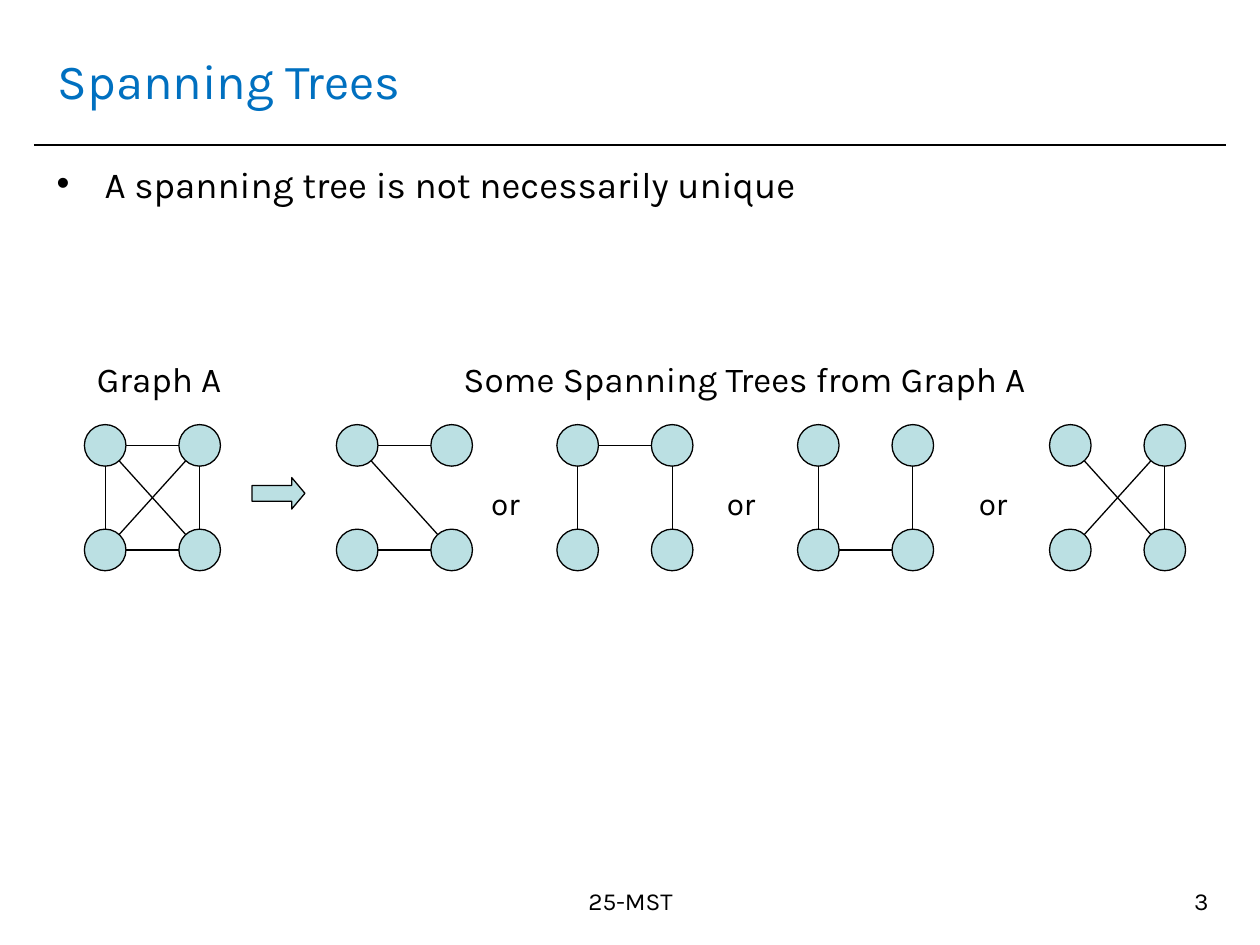
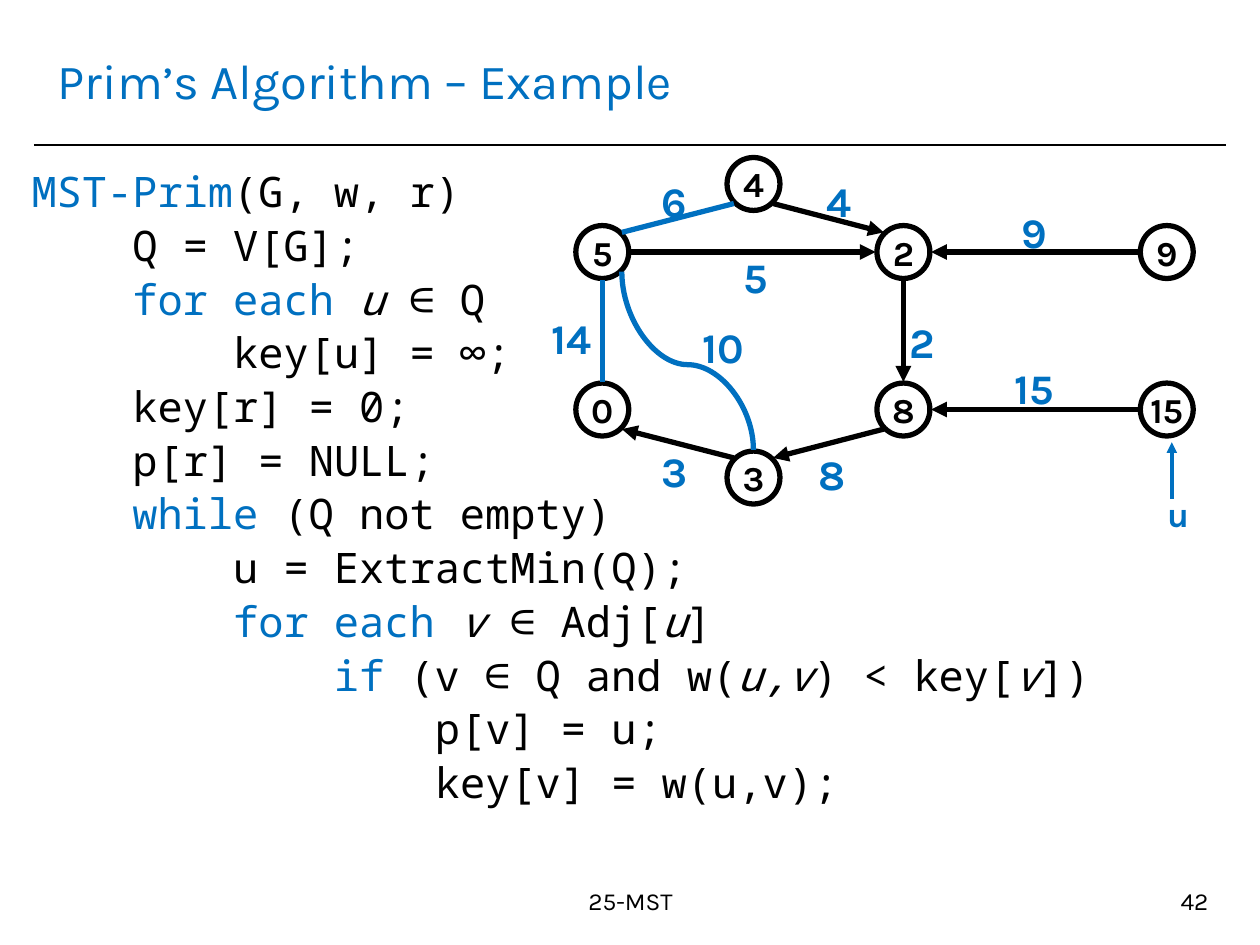
import math

import pptx
import pptx.dml.color
import pptx.enum.shapes
import pptx.enum.text
import pptx.oxml
import pptx.oxml.ns
import pptx.util
from lxml import etree

Inches = pptx.util.Inches
Pt = pptx.util.Pt
SHAPE = pptx.enum.shapes.MSO_SHAPE
CONNECTOR = pptx.enum.shapes.MSO_CONNECTOR
ALIGN = pptx.enum.text.PP_ALIGN
ANCHOR = pptx.enum.text.MSO_ANCHOR
AUTO_SIZE = pptx.enum.text.MSO_AUTO_SIZE
qn = pptx.oxml.ns.qn

BLACK, BLUE, PALE = "000000", "0070C0", "BBE0E3"
FONT, CODE_FONT = "Karla", "Noto Sans Mono"

KEYWORD = {"colour": BLUE}
ITALIC = {"italic": True}
CODE = [
    [("MST-Prim", KEYWORD), "(G, w, r)"],
    ["    Q = V[G];"],
    ["    ", ("for each ", KEYWORD), ("u ", ITALIC), "∈ Q"],
    ["        key[u] = ∞;"],
    ["    key[r] = 0;"],
    ["    p[r] = NULL;"],
    ["    ", ("while", KEYWORD), " (Q not empty)"],
    ["        u = ExtractMin(Q);"],
    ["        ", ("for each ", KEYWORD), ("v ", ITALIC), "∈ Adj[", ("u", ITALIC), "]"],
    ["            ", ("if", KEYWORD), " (v ∈ Q and w(", ("u,v", ITALIC),
     ") < key[", ("v", ITALIC), "])"],
    ["                p[v] = u;"],
    ["                key[v] = w(u,v);"],
]

# Small graphs: corners are numbered top left, top right, bottom left, bottom right.
GRAPH_TOP, GRAPH_NODE = 3.37, 0.33
CORNERS = [(0, 0), (0.75, 0), (0, 0.83), (0.75, 0.83)]
TOP, LEFT, RIGHT, BOTTOM, DOWN, UP = (0, 1), (0, 2), (1, 3), (2, 3), (0, 3), (1, 2)
GRAPH_A = (0.67, [TOP, LEFT, RIGHT, BOTTOM, DOWN, UP])
SPANNING_TREES = [
    (2.67, [TOP, DOWN, BOTTOM]),
    (4.42, [LEFT, TOP, RIGHT]),
    (6.33, [LEFT, BOTTOM, RIGHT]),
    (8.33, [DOWN, UP, RIGHT]),
]

# Prim graph: key of each vertex and its centre.
PRIM_NODE = 0.42
VERTICES = {
    "5": (4.78, 2), "2": (7.17, 2), "9": (9.26, 2),
    "0": (4.78, 3.25), "8": (7.17, 3.25), "15": (9.26, 3.25),
    "3": (5.98, 3.79), "4": (5.98, 1.46),
}
# Start, its side, end, its side, directed.
EDGES = [
    ("4", "SE", "2", "NW", True), ("4", "SW", "5", "NE", False),
    ("5", "E", "2", "W", True), ("0", "N", "5", "S", False),
    ("3", "NW", "0", "SE", True), ("8", "SW", "3", "NE", True),
    ("2", "S", "8", "N", True), ("9", "W", "2", "E", True),
    ("15", "W", "8", "E", True),
]
# Edge weight and the centre and top of its label.
WEIGHTS = [
    ("14", 4.54, 2.43), ("10", 5.74, 2.5), ("3", 5.35, 3.49), ("6", 5.35, 1.34),
    ("4", 6.66, 1.34), ("5", 6, 1.95), ("2", 7.32, 2.46), ("9", 8.21, 1.59),
    ("15", 8.21, 2.83), ("8", 6.6, 3.51),
]
SIDES = ["E", "SE", "S", "SW", "W", "NW", "N", "NE"]


def rgb(value):
    return pptx.dml.color.RGBColor.from_string(value)


def add_runs(paragraph, runs, size, font=FONT, colour=BLACK, bold=False):
    """Add plain strings, or (text, style) pairs, as runs."""
    for item in runs:
        text, style = (item, {}) if isinstance(item, str) else item
        run = paragraph.add_run()
        run.text = text
        run.font.name = font
        run.font.size = Pt(size)
        run.font.bold = bold
        run.font.italic = style.get("italic", False)
        run.font.color.rgb = rgb(style.get("colour", colour))


def add_label(shapes, text, left, top, width, height, size,
              align=ALIGN.LEFT, wrap=True, **style):
    box = shapes.add_textbox(Inches(left), Inches(top), Inches(width), Inches(height))
    box.text_frame.word_wrap = wrap
    paragraph = box.text_frame.paragraphs[0]
    paragraph.alignment = align
    add_runs(paragraph, [text], size, **style)


def add_outlined(shapes, kind, left, top, width, height, line_width, fill=None):
    shape = shapes.add_shape(kind, Inches(left), Inches(top), Inches(width), Inches(height))
    shape.shadow.inherit = False
    if fill:
        shape.fill.solid()
        shape.fill.fore_color.rgb = rgb(fill)
    else:
        shape.fill.background()
    shape.line.color.rgb = rgb(BLACK)
    shape.line.width = Pt(line_width)
    return shape


def add_line(shapes, start, end, width, colour=BLACK, arrow=False,
             kind=CONNECTOR.STRAIGHT):
    points = [Inches(value) for value in (*start, *end)]
    connector = shapes.add_connector(kind, *points)
    connector.line.color.rgb = rgb(colour)
    connector.line.width = Pt(width)
    properties = connector.element.spPr
    if arrow:
        etree.SubElement(properties.find(qn("a:ln")), qn("a:tailEnd"), type="triangle")
    etree.SubElement(properties, qn("a:effectLst"))
    return connector


def set_indent(paragraph, bullet=None):
    """Give a hanging indent, with a bullet character or none."""
    properties = paragraph._p.get_or_add_pPr()
    properties.set("marL", str(Inches(0.38)))
    properties.set("indent", str(-Inches(0.38)))
    if bullet:
        etree.SubElement(properties, qn("a:buChar"), char=bullet)
    else:
        etree.SubElement(properties, qn("a:buNone"))


def place(placeholder, left, top, width, height, anchor):
    placeholder.left, placeholder.top = Inches(left), Inches(top)
    placeholder.width, placeholder.height = Inches(width), Inches(height)
    frame = placeholder.text_frame
    frame.auto_size = AUTO_SIZE.NONE
    frame.vertical_anchor = anchor
    return frame


def add_slide(presentation, title, number):
    """Add a slide with its title, rule and footer."""
    slide = presentation.slides.add_slide(presentation.slide_layouts[1])
    add_line(slide.shapes, (0.27, 1.15), (9.73, 1.15), 1)
    frame = place(slide.shapes.title, 0.36, 0.21, 9.29, 0.85, ANCHOR.MIDDLE)
    paragraph = frame.paragraphs[0]
    paragraph.alignment = ALIGN.LEFT
    add_runs(paragraph, [title], 28, colour=BLUE)
    add_label(slide.shapes, "25-MST", 3.35, 6.98, 3.31, 0.52, 14, ALIGN.CENTER)
    add_label(slide.shapes, number, 7.36, 6.98, 2.33, 0.52, 14, ALIGN.RIGHT)
    return slide


def add_small_graph(slide, left, edges):
    shapes = slide.shapes.add_group_shape().shapes
    radius = GRAPH_NODE / 2
    for x, y in CORNERS:
        add_outlined(shapes, SHAPE.OVAL, left + x, GRAPH_TOP + y,
                     GRAPH_NODE, GRAPH_NODE, 0.75, PALE)
    centres = [(left + x + radius, GRAPH_TOP + y + radius) for x, y in CORNERS]
    for first, second in edges:
        (x1, y1), (x2, y2) = centres[first], centres[second]
        angle = math.atan2(y2 - y1, x2 - x1)
        dx, dy = radius * math.cos(angle), radius * math.sin(angle)
        add_line(shapes, (x1 + dx, y1 + dy), (x2 - dx, y2 - dy), 0.75)


def vertex_side(vertex, side):
    """Point just outside the vertex circle on the given compass side."""
    x, y = VERTICES[vertex]
    angle = SIDES.index(side) * math.pi / 4
    reach = PRIM_NODE / 2 + 0.01
    return x + reach * math.cos(angle), y + reach * math.sin(angle)


def add_curved_edge(shapes, start, end):
    """Add an S curve that leaves and arrives vertically."""
    centre_x, centre_y = (start[0] + end[0]) / 2, (start[1] + end[1]) / 2
    half_length, half_width = (start[1] - end[1]) / 2, (start[0] - end[0]) / 2
    curve = add_line(shapes, (centre_x + half_length, centre_y - half_width),
                     (centre_x - half_length, centre_y + half_width),
                     3, BLUE, kind=CONNECTOR.CURVE)
    properties = curve.element.spPr
    properties.find(qn("a:xfrm")).set("rot", str(90 * 60000))
    geometry = properties.find(qn("a:prstGeom"))
    adjustments = geometry.find(qn("a:avLst"))
    if adjustments is None:
        adjustments = etree.SubElement(geometry, qn("a:avLst"))
    etree.SubElement(adjustments, qn("a:gd"), name="adj1", fmla="val 47800")


def add_prim_graph(shapes):
    for key, (x, y) in VERTICES.items():
        node = add_outlined(shapes, SHAPE.OVAL, x - PRIM_NODE / 2, y - PRIM_NODE / 2,
                            PRIM_NODE, PRIM_NODE, 3)
        node.text_frame.word_wrap = False
        node.text_frame.vertical_anchor = ANCHOR.MIDDLE
        paragraph = node.text_frame.paragraphs[0]
        paragraph.alignment = ALIGN.CENTER
        add_runs(paragraph, [key], 20, bold=True)
    for start, start_side, end, end_side, directed in EDGES:
        add_line(shapes, vertex_side(start, start_side), vertex_side(end, end_side),
                 3, BLACK if directed else BLUE, directed)
    add_curved_edge(shapes, vertex_side("3", "N"), vertex_side("5", "SE"))
    for weight, centre, top in WEIGHTS:
        width = 0.21 * (len(weight) + 1)
        add_label(shapes, weight, centre - width / 2, top, width, 0.5, 24,
                  ALIGN.CENTER, wrap=False, colour=BLUE, bold=True)
    add_label(shapes, "u", 9.16, 3.86, 0.38, 0.44, 20,
              ALIGN.CENTER, wrap=False, colour=BLUE, bold=True)
    add_line(shapes, (9.3, 3.96), (9.3, 3.51), 2, BLUE, arrow=True)


def add_spanning_trees_slide(presentation):
    slide = add_slide(presentation, "Spanning Trees", "3")
    frame = place(slide.placeholders[1], 0.35, 1.23, 9.29, 5.59, ANCHOR.TOP)
    paragraph = frame.paragraphs[0]
    set_indent(paragraph, "•")
    paragraph.space_before = Pt(0)
    add_runs(paragraph, ["A spanning tree is not necessarily unique"], 21)
    for left, edges in [GRAPH_A, *SPANNING_TREES]:
        add_small_graph(slide, left, edges)
    arrow = add_outlined(slide.shapes, SHAPE.RIGHT_ARROW, 2, 3.79, 0.42, 0.25, 0.75, PALE)
    arrow.adjustments[1] = 0.42
    for left in (3.8, 5.67, 7.67):
        add_label(slide.shapes, "or", left, 3.79, 0.5, 0.4, 18)
    add_label(slide.shapes, "Graph A", 0.67, 2.79, 1.21, 0.44, 20)
    add_label(slide.shapes, "Some Spanning Trees from Graph A", 3.58, 2.79, 5.17, 0.44, 20)


def add_prim_slide(presentation):
    slide = add_slide(presentation, "Prim’s Algorithm – Example", "42")
    frame = place(slide.placeholders[1], 0.15, 1.31, 9.29, 4.5, ANCHOR.TOP)
    for index, runs in enumerate(CODE):
        paragraph = frame.add_paragraph() if index else frame.paragraphs[0]
        set_indent(paragraph)
        paragraph.line_spacing = 0.9
        paragraph.space_before = Pt(4.8 if index else 0)
        add_runs(paragraph, runs, 24, CODE_FONT)
    add_prim_graph(slide.shapes)


def main():
    presentation = pptx.Presentation()
    presentation.slide_width, presentation.slide_height = Inches(10), Inches(7.5)
    add_spanning_trees_slide(presentation)
    add_prim_slide(presentation)
    presentation.save("out.pptx")


if __name__ == "__main__":
    main()
